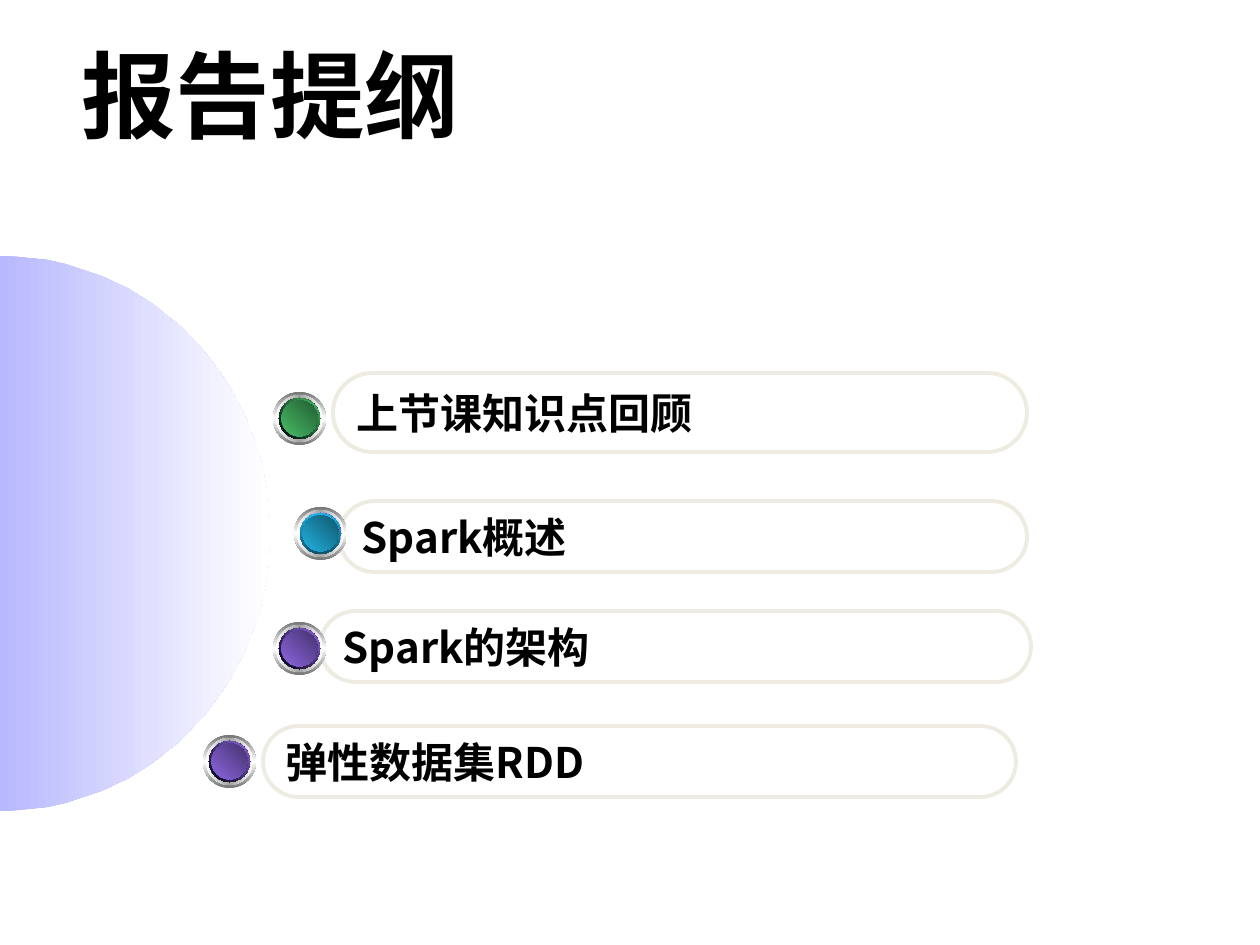
from dataclasses import dataclass
from math import cos, pi, sin

from lxml.etree import SubElement
from pptx import Presentation
from pptx.dml.color import RGBColor
from pptx.enum.shapes import MSO_SHAPE as Shape
from pptx.enum.text import MSO_ANCHOR as Anchor, PP_ALIGN as Align
from pptx.oxml.ns import qn
from pptx.util import Emu, Pt

SCALE = 914400 / 126


@dataclass(frozen=True)
class Theme:
    font: str = "Noto Sans CJK SC"
    text: str = "000000"
    outline: str = "EEECE1"
    disc: tuple = ("B8B8FF", "FFFFFF")
    steel: tuple = ("767676", "FFFFFF", "767676")
    chrome: tuple = ("FFFFFF", "A2A2A2", "FFFFFF")
    glow: tuple = ("0000FF", "FFFFFF", "0000FF")
    depth: tuple = ("0000FF", "005353", "0000FF")
    title_size: int = 54
    item_size: int = 24
    line_width: float = 2.25


THEME = Theme()

GREEN = (("000000", "48BE67"), 315, ("48BE67", "235C32"))
BLUE = (("21B3E1", "0F5368"), 90, ("21B3E1", "10576D"))
PURPLE = (("000000", "8D67E1"), 315, ("8D67E1", "45326D"))

AGENDA = [
    ("上节课知识点回顾", (333, 373, 694, 79), (273, 392), GREEN),
    ("Spark概述", (339, 501, 688, 71), (294, 507), BLUE),
    ("Spark的架构", (320, 611, 711, 71), (273, 622), PURPLE),
    ("弹性数据集RDD", (263, 726, 753, 71), (203, 735), PURPLE),
]


def px(*values):
    return [Emu(round(v * SCALE)) for v in values]


def write(s, text, size, wrap=True):
    tf = s.text_frame
    tf.word_wrap = wrap
    tf.vertical_anchor = Anchor.MIDDLE
    p = tf.paragraphs[0]
    p.alignment = Align.LEFT
    r = p.add_run()
    r.text = text
    r.font.name = THEME.font
    r.font.size = Pt(size)
    r.font.bold = True
    r.font.color.rgb = RGBColor.from_string(THEME.text)
    SubElement(r._r.get_or_add_rPr(), qn("a:ea"), typeface=THEME.font)


def fill_gradient(s, colors, angle):
    s.shadow.inherit = False
    s.line.fill.background()
    s.fill.gradient()
    grad = s._element.spPr.find(qn("a:gradFill"))
    for child in list(grad):
        grad.remove(child)
    stops = SubElement(grad, qn("a:gsLst"))
    for i, color in enumerate(colors):
        pos = 100000 * i // (len(colors) - 1)
        stop = SubElement(stops, qn("a:gs"), pos=str(pos))
        SubElement(stop, qn("a:srgbClr"), val=color)
    SubElement(grad, qn("a:lin"), ang=str(angle * 60000), scaled="0")


def add_half_disc(shapes, top, width, height, steps=90):
    angles = [pi * i / steps - pi / 2 for i in range(steps + 1)]
    points = [(width * cos(a), top + height / 2 * (1 + sin(a))) for a in angles]
    builder = shapes.build_freeform(*points[0], scale=SCALE)
    builder.add_line_segments(points[1:], close=True)
    fill_gradient(builder.convert_to_shape(), THEME.disc, 0)


def add_pill(shapes, box, text):
    s = shapes.add_shape(Shape.ROUNDED_RECTANGLE, *px(*box))
    s.adjustments[0] = 0.5
    s.shadow.inherit = False
    s.fill.background()
    s.line.color.rgb = RGBColor.from_string(THEME.outline)
    s.line.width = Pt(THEME.line_width)
    write(s, text, THEME.item_size, wrap=False)


def add_ball(shapes, left, top, colors):
    rim, rim_angle, core = colors
    layers = [
        (53, THEME.steel, 90),
        (47, THEME.chrome, 0),
        (41, THEME.glow, 315),
        (41, rim, rim_angle),
        (36, THEME.depth, 45),
        (36, core, 315),
    ]
    group = shapes.add_group_shape().shapes
    outer = layers[0][0]
    for size, stops, angle in layers:
        inset = (outer - size) / 2
        box = px(left + inset, top + inset, size, size)
        fill_gradient(group.add_shape(Shape.OVAL, *box), stops, angle)


def main():
    prs = Presentation()
    prs.slide_width, prs.slide_height = px(1260, 945)
    shapes = prs.slides.add_slide(prs.slide_layouts[6]).shapes
    title = shapes.add_textbox(*px(69, 35, 1018, 118))
    write(title, "报告提纲", THEME.title_size)
    add_half_disc(shapes, 256, 270, 555)
    for text, box, ball, colors in AGENDA:
        add_pill(shapes, box, text)
        add_ball(shapes, *ball, colors)
    prs.save("out.pptx")


if __name__ == "__main__":
    main()
